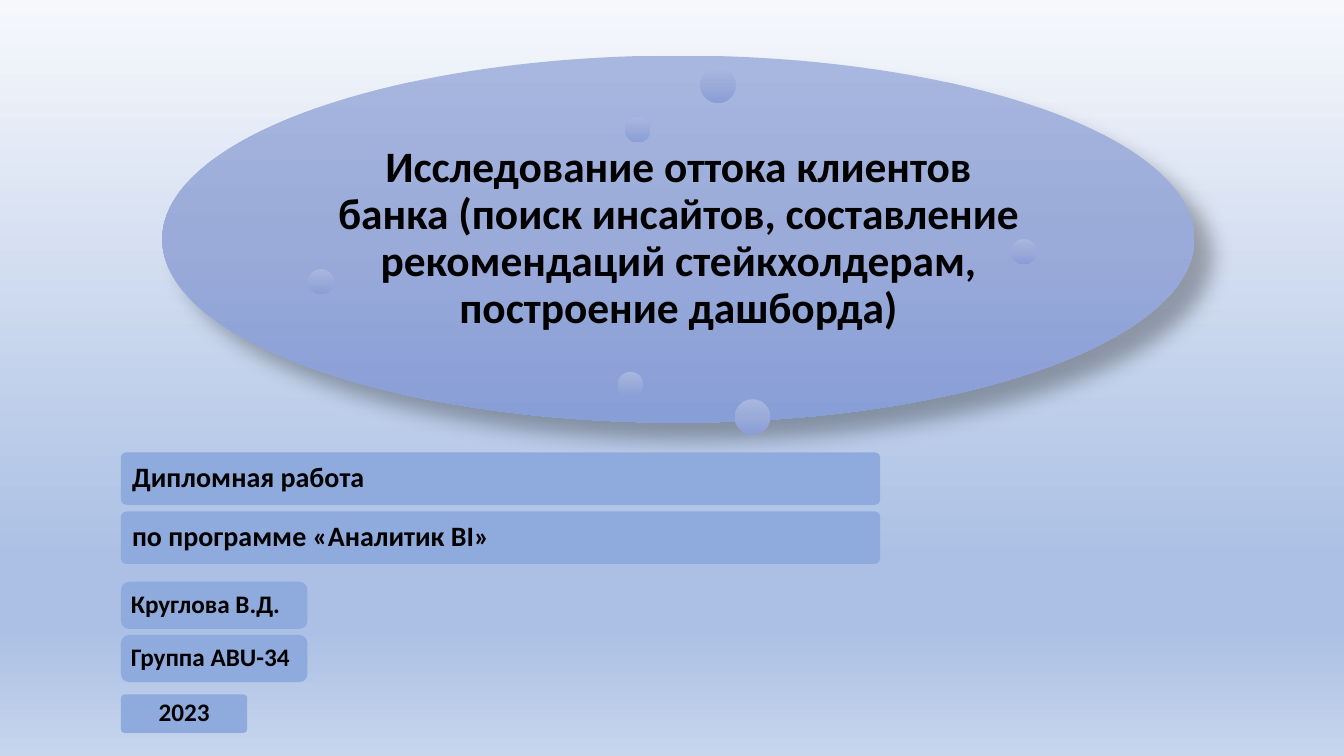
from dataclasses import dataclass
from typing import NamedTuple

from lxml.etree import SubElement
from pptx import Presentation
from pptx.dml.color import RGBColor
from pptx.dml.fill import FillFormat
from pptx.enum.shapes import MSO_SHAPE
from pptx.enum.text import MSO_ANCHOR, PP_ALIGN
from pptx.oxml.ns import qn
from pptx.shapes.autoshape import Shape
from pptx.slide import Slide
from pptx.util import Cm, Pt


class Stop(NamedTuple):
    percent: int
    color: str


@dataclass(frozen=True)
class Theme:
    font: str = "Calibri"
    ink: str = "000000"
    card: str = "8FAADC"
    shadow: str = "000000"
    backdrop: tuple[Stop, ...] = (
        Stop(0, "F6F8FC"), Stop(74, "ABC0E4"), Stop(83, "ABC0E4"), Stop(100, "C7D5ED"))
    oval: tuple[Stop, ...] = (Stop(0, "A8B7DF"), Stop(50, "9AABD9"), Stop(100, "889ED7"))
    title_size: int = 31
    program_size: int = 20
    author_size: int = 18


class Bubble(NamedTuple):
    left: float
    top: float
    diameter: float


@dataclass(frozen=True)
class CardStack:
    lines: tuple[str, ...]
    top: float
    width: float
    height: float
    gap: float
    rounding: float
    inset: float
    size: int
    align: PP_ALIGN = PP_ALIGN.LEFT


THEME = Theme()
CARD_LEFT = 3.05
LARGE, SMALL = 0.89, 0.64
TITLE = ("Исследование оттока клиентов банка (поиск инсайтов, составление "
         "рекомендаций стейкхолдерам, построение дашборда)")
BUBBLES = (
    Bubble(17.65, 1.7, LARGE),
    Bubble(15.57, 9.37, SMALL),
    Bubble(25.48, 6.02, SMALL),
    Bubble(18.52, 10.06, LARGE),
    Bubble(15.75, 2.95, SMALL),
    Bubble(7.77, 6.78, SMALL),
)
STACKS = (
    CardStack(("Дипломная работа", "по программе «Аналитик BI»"),
              11.4, 19.13, 1.32, 0.17, 0.1, 0.24, THEME.program_size),
    CardStack(("Круглова В.Д.", "Группа ABU-34"),
              14.66, 4.7, 1.19, 0.15, 0.17, 0.19, THEME.author_size),
    CardStack(("2023",), 17.5, 3.18, 0.97, 0, 0.1, 0.19,
              THEME.author_size, PP_ALIGN.CENTER),
)


def set_gradient(fill: FillFormat, holder, stops: tuple[Stop, ...]) -> None:
    fill.gradient()
    fill.gradient_angle = 270
    stop_list = next(holder.iter(qn("a:gsLst")))
    stop_list.clear()
    for stop in stops:
        entry = SubElement(stop_list, qn("a:gs"), pos=str(stop.percent * 1000))
        SubElement(entry, qn("a:srgbClr"), val=stop.color)


def add_oval(slide: Slide, left: float, top: float, width: float, height: float) -> Shape:
    oval = slide.shapes.add_shape(MSO_SHAPE.OVAL, Cm(left), Cm(top), Cm(width), Cm(height))
    oval.shadow.inherit = False
    oval.line.fill.background()
    set_gradient(oval.fill, oval.element, THEME.oval)
    return oval


def add_soft_shadow(shape: Shape) -> None:
    effects = next(shape.element.iter(qn("a:effectLst")))
    outer = SubElement(effects, qn("a:outerShdw"), blurRad=str(Pt(15)), dist=str(Pt(18)),
                       dir=str(45 * 60000), algn="tl", rotWithShape="0")
    color = SubElement(outer, qn("a:srgbClr"), val=THEME.shadow)
    SubElement(color, qn("a:alpha"), val="30000")


def write(shape: Shape, text: str, size: int, align: PP_ALIGN,
          side_inset: float, end_inset: float) -> None:
    frame = shape.text_frame
    frame.word_wrap = True
    frame.vertical_anchor = MSO_ANCHOR.MIDDLE
    frame.margin_left = frame.margin_right = Cm(side_inset)
    frame.margin_top = frame.margin_bottom = Cm(end_inset)
    frame.text = text
    paragraph = frame.paragraphs[0]
    paragraph.alignment = align
    paragraph.line_spacing = 0.9
    font = paragraph.runs[0].font
    font.name = THEME.font
    font.size = Pt(size)
    font.bold = True
    font.color.rgb = RGBColor.from_string(THEME.ink)


def add_stack(slide: Slide, stack: CardStack) -> None:
    for index, line in enumerate(stack.lines):
        top = stack.top + index * (stack.height + stack.gap)
        card = slide.shapes.add_shape(MSO_SHAPE.ROUNDED_RECTANGLE, Cm(CARD_LEFT), Cm(top),
                                      Cm(stack.width), Cm(stack.height))
        card.adjustments[0] = stack.rounding
        card.shadow.inherit = False
        card.line.fill.background()
        card.fill.solid()
        card.fill.fore_color.rgb = RGBColor.from_string(THEME.card)
        write(card, line, stack.size, stack.align, stack.inset, 0)


def main() -> None:
    presentation = Presentation()
    presentation.slide_width = Cm(33.87)
    presentation.slide_height = Cm(19.05)
    slide = presentation.slides.add_slide(presentation.slide_layouts[6])
    set_gradient(slide.background.fill, slide.element, THEME.backdrop)

    title_oval = add_oval(slide, 4.09, 1.4, 26.01, 9.25)
    add_soft_shadow(title_oval)
    write(title_oval, TITLE, THEME.title_size, PP_ALIGN.CENTER, 0.33, 0.33)

    for bubble in BUBBLES:
        add_oval(slide, bubble.left, bubble.top, bubble.diameter, bubble.diameter)
    for stack in STACKS:
        add_stack(slide, stack)

    presentation.save("out.pptx")


if __name__ == "__main__":
    main()
